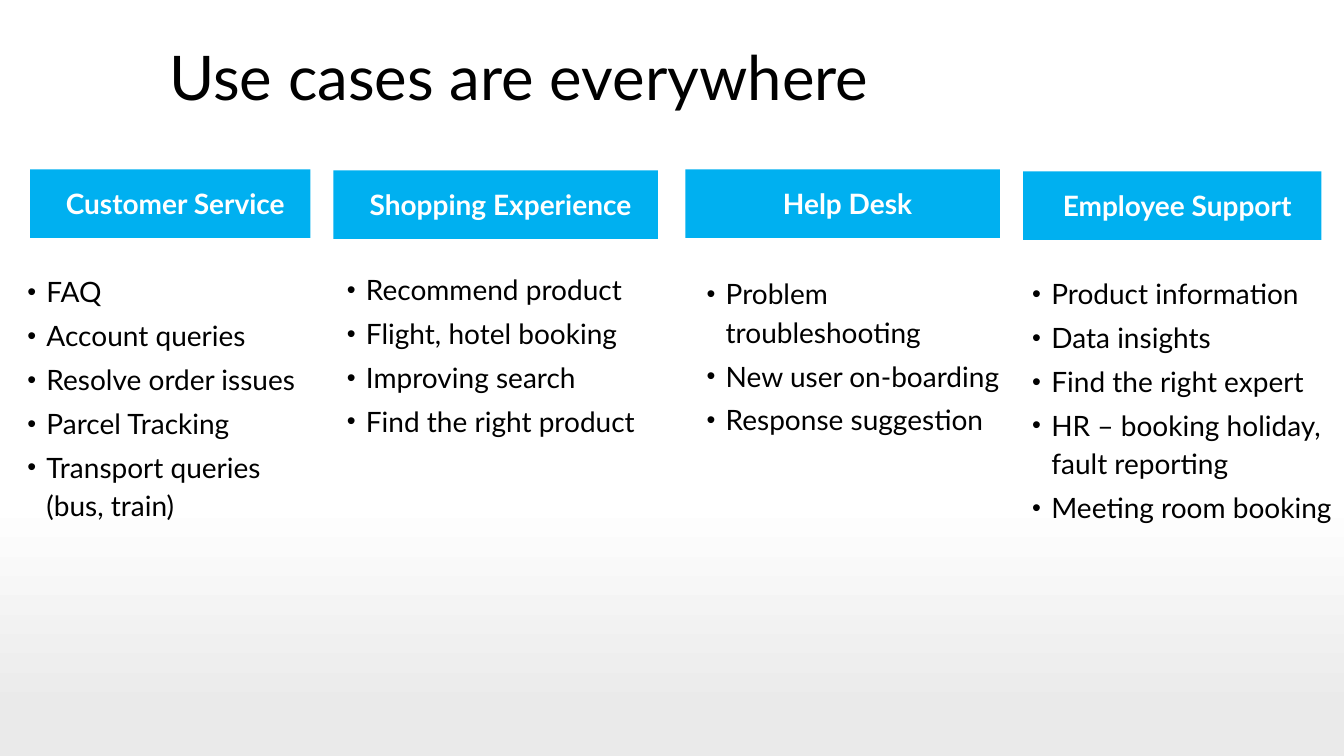
from dataclasses import dataclass

from lxml.etree import SubElement
from pptx import Presentation
from pptx.dml.color import RGBColor
from pptx.enum.shapes import MSO_SHAPE
from pptx.enum.text import MSO_ANCHOR, MSO_AUTO_SIZE, PP_ALIGN
from pptx.oxml.ns import qn
from pptx.util import Pt

FONT = "Lato"
BLACK, WHITE, BLUE, GREY = "000000", "FFFFFF", "00B0F0", "EAEAEA"
SLIDE_WIDTH, SLIDE_HEIGHT = 960, 540
HEADER_HEIGHT, LIST_HEIGHT = 49, 266.4
INSET, HEADER_SHIFT, INDENT = 6.5, 7, 13.7


@dataclass
class Box:
    """A rectangle on the slide, in points."""
    left: float
    top: float
    width: float
    height: float

    def lengths(self):
        """Return left, top, width and height as slide lengths."""
        return [Pt(n) for n in (self.left, self.top, self.width, self.height)]


USE_CASES = [
    ("Customer Service", Box(21.6, 121, 200.2, HEADER_HEIGHT),
     Box(13, 186.5, 217.4, LIST_HEIGHT),
     ["FAQ", "Account queries", "Resolve order issues", "Parcel Tracking",
      "Transport queries\v(bus, train)"]),
    ("Shopping Experience", Box(238.1, 121.7, 231.9, HEADER_HEIGHT),
     Box(241.2, 185, 245.5, LIST_HEIGHT),
     ["Recommend product", "Flight, hotel booking", "Improving search",
      "Find the right product"]),
    ("Help Desk", Box(489.6, 121, 224.6, HEADER_HEIGHT),
     Box(498.2, 187.9, 223.9, LIST_HEIGHT),
     ["Problem troubleshooting", "New user on-boarding", "Response suggestion"]),
    ("Employee Support", Box(730.8, 122.4, 213.1, HEADER_HEIGHT),
     Box(730.8, 187.9, 221.2, LIST_HEIGHT),
     ["Product information", "Data insights", "Find the right expert",
      "HR – booking holiday, fault reporting", "Meeting room booking"]),
]


def color(hex_text):
    """Turn a hex string into a colour."""
    return RGBColor.from_string(hex_text)


def format_runs(paragraph, size, hex_text, bold=False):
    """Apply the slide's font to every run of a paragraph."""
    for run in paragraph.runs:
        run.font.name = FONT
        run.font.size = Pt(size)
        run.font.bold = bold
        run.font.color.rgb = color(hex_text)


def set_insets(frame, left, right):
    """Set the margins of a text frame and let its text wrap."""
    frame.word_wrap = True
    frame.margin_left, frame.margin_right = Pt(left), Pt(right)
    frame.margin_top = frame.margin_bottom = Pt(INSET)


def add_panel(slide, box):
    """Add a plain rectangle without line or shadow."""
    panel = slide.shapes.add_shape(MSO_SHAPE.RECTANGLE, *box.lengths())
    panel.shadow.inherit = False
    panel.line.fill.background()
    return panel


def add_floor(slide, box):
    """Shade the lower part of the slide from white down to grey."""
    fill = add_panel(slide, box).fill
    fill.gradient()
    fill.gradient_angle = 270
    for stop, position, shade in zip(fill.gradient_stops, (0.19, 0.86), (WHITE, GREY)):
        stop.position = position
        stop.color.rgb = color(shade)


def set_title(slide, box, wording):
    """Place and format the title."""
    title = slide.shapes.title
    title.left, title.top, title.width, title.height = box.lengths()
    frame = title.text_frame
    frame.text = wording
    frame.auto_size = MSO_AUTO_SIZE.NONE
    frame.vertical_anchor = MSO_ANCHOR.MIDDLE
    heading = frame.paragraphs[0]
    heading.alignment = PP_ALIGN.LEFT
    heading.line_spacing = 0.9
    format_runs(heading, 44, BLACK)


def add_header(slide, box, wording):
    """Add the blue header of a use case."""
    header = add_panel(slide, box)
    header.fill.solid()
    header.fill.fore_color.rgb = color(BLUE)
    frame = header.text_frame
    set_insets(frame, INSET + HEADER_SHIFT, INSET)
    frame.vertical_anchor = MSO_ANCHOR.MIDDLE
    frame.text = wording
    frame.paragraphs[0].alignment = PP_ALIGN.CENTER
    format_runs(frame.paragraphs[0], 20, WHITE, bold=True)


def add_bullet(paragraph):
    """Give a paragraph a hanging bullet."""
    properties = paragraph._p.get_or_add_pPr()
    properties.set("marL", str(Pt(INDENT)))
    properties.set("indent", str(-Pt(INDENT)))
    SubElement(properties, qn("a:buSzPct")).set("val", "90000")
    SubElement(properties, qn("a:buFont")).set("typeface", "Arial")
    SubElement(properties, qn("a:buChar")).set("char", "•")


def add_examples(slide, box, examples):
    """Add the bulleted examples of a use case."""
    frame = slide.shapes.add_textbox(*box.lengths()).text_frame
    set_insets(frame, INSET, 0)
    for index, example in enumerate(examples):
        paragraph = frame.add_paragraph() if index else frame.paragraphs[0]
        paragraph.text = example
        add_bullet(paragraph)
        paragraph.line_spacing = 1.14
        paragraph.space_before = Pt(4 if index else 0)
        format_runs(paragraph, 20, BLACK)


def build_use_cases(presentation):
    """Build the slide of use cases."""
    slide = presentation.slides.add_slide(presentation.slide_layouts[5])
    set_title(slide, Box(113.8, 22.3, 846, 70.6), "Use cases are everywhere")
    floor_top = 313.2
    add_floor(slide, Box(0, floor_top, SLIDE_WIDTH, SLIDE_HEIGHT - floor_top))
    for name, header_box, examples_box, examples in USE_CASES:
        add_header(slide, header_box, name)
        add_examples(slide, examples_box, examples)


def main():
    """Create and save the presentation."""
    presentation = Presentation()
    presentation.slide_width = Pt(SLIDE_WIDTH)
    presentation.slide_height = Pt(SLIDE_HEIGHT)
    build_use_cases(presentation)
    presentation.save("out.pptx")


if __name__ == "__main__":
    main()
